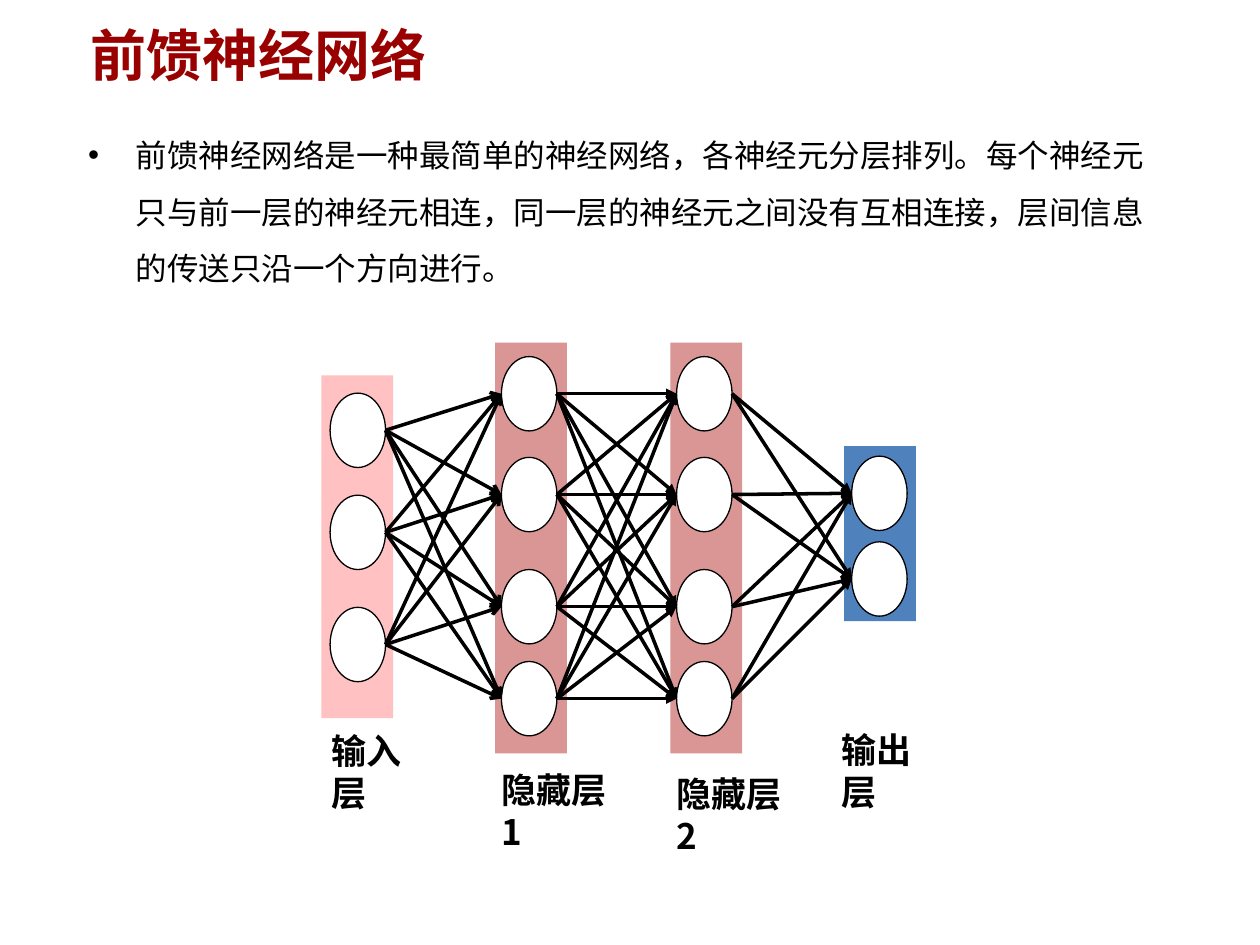
from itertools import product

from lxml import etree
from pptx import Presentation
from pptx.dml.color import RGBColor
from pptx.enum.shapes import MSO_CONNECTOR, MSO_SHAPE
from pptx.enum.text import MSO_ANCHOR
from pptx.oxml.ns import qn
from pptx.util import Inches, Pt

RECTANGLE, OVAL = MSO_SHAPE.RECTANGLE, MSO_SHAPE.OVAL
STRAIGHT = MSO_CONNECTOR.STRAIGHT
TOP, MIDDLE = MSO_ANCHOR.TOP, MSO_ANCHOR.MIDDLE

FONT = "Noto Sans CJK SC"
BLACK = RGBColor(0x00, 0x00, 0x00)
WHITE = RGBColor(0xFF, 0xFF, 0xFF)
DARK_RED = RGBColor(0x99, 0x00, 0x00)
PINK = RGBColor(0xFF, 0xC1, 0xC1)
ROSE = RGBColor(0xD9, 0x96, 0x94)
BLUE = RGBColor(0x4F, 0x81, 0xBD)

# Content
TITLE = "前馈神经网络"
BODY = ("前馈神经网络是一种最简单的神经网络，各神经元分层排列。"
        "每个神经元只与前一层的神经元相连，同一层的神经元之间没有互相连接，"
        "层间信息的传送只沿一个方向进行。")

HIDDEN_TOPS = [2.83, 3.63, 4.52, 5.25]
# band: left, top, height; label: left, top, width; head: arrowhead leaving the layer
LAYERS = [
    {"name": "输入层", "color": PINK, "band": (2.55, 2.98, 2.72), "neuron_left": 2.62,
     "neuron_tops": [3.12, 3.93, 4.82], "label": (2.53, 5.74, 0.82), "head": "arrow"},
    {"name": "隐藏层1", "color": ROSE, "band": (3.93, 2.72, 3.26), "neuron_left": 3.98,
     "neuron_tops": HIDDEN_TOPS, "label": (3.88, 6.05, 1.11), "head": "triangle"},
    {"name": "隐藏层2", "color": ROSE, "band": (5.32, 2.72, 3.26), "neuron_left": 5.37,
     "neuron_tops": HIDDEN_TOPS, "label": (5.27, 6.08, 1.1), "head": "triangle"},
    {"name": "输出层", "color": BLUE, "band": (6.7, 3.54, 1.39), "neuron_left": 6.76,
     "neuron_tops": [3.62, 4.3], "label": (6.58, 5.73, 0.79), "head": None},
]
BAND_WIDTH = 0.57
NEURON_WIDTH, NEURON_HEIGHT = 0.44, 0.59
LABEL_HEIGHT = 0.77


def add_text(page, text, left, top, width, height, size=20, color=BLACK,
             bold=False, anchor=MIDDLE, spacing=None, bullet=None, indent=0):
    box = page.shapes.add_textbox(*map(Inches, (left, top, width, height)))
    frame = box.text_frame
    frame.word_wrap = True
    frame.vertical_anchor = anchor
    para = frame.paragraphs[0]
    if bullet:
        properties = para._p.get_or_add_pPr()
        properties.set("marL", str(Inches(indent)))
        properties.set("indent", str(-Inches(indent)))
        etree.SubElement(properties, qn("a:buFont"), typeface="Arial")
        etree.SubElement(properties, qn("a:buChar"), char=bullet)
    if spacing:
        para.line_spacing = spacing
    span = para.add_run()
    span.text = text
    span.font.size = Pt(size)
    span.font.bold = bold
    span.font.color.rgb = color
    span.font.name = FONT
    etree.SubElement(span._r.get_or_add_rPr(), qn("a:ea"), typeface=FONT)


def add_block(page, kind, left, top, width, height, fill, outline=None):
    block = page.shapes.add_shape(kind, *map(Inches, (left, top, width, height)))
    block.shadow.inherit = False
    block.fill.solid()
    block.fill.fore_color.rgb = fill
    if outline is None:
        block.line.fill.background()
    else:
        block.line.color.rgb = outline
        block.line.width = Pt(0.75)


def add_arrow(page, start, end, head):
    arrow = page.shapes.add_connector(STRAIGHT, *map(Inches, (*start, *end)))
    arrow.line.color.rgb = BLACK
    arrow.line.width = Pt(2)
    etree.SubElement(arrow.line._get_or_add_ln(), qn("a:tailEnd"), type=head)
    etree.SubElement(arrow._element.spPr, qn("a:effectLst"))


def main():
    deck = Presentation()
    deck.slide_width, deck.slide_height = Inches(10), Inches(7.5)
    page = deck.slides.add_slide(deck.slide_layouts[6])

    # Title and explanation
    add_text(page, TITLE, 0.62, 0.13, 8.66, 0.6, size=32, color=DARK_RED, bold=True)
    add_text(page, BODY, 0.6, 0.88, 8.81, 1.32, size=18, anchor=TOP,
             spacing=1.5, bullet="•", indent=0.38)

    # Layer bands
    for layer in LAYERS:
        left, top, height = layer["band"]
        add_block(page, RECTANGLE, left, top, BAND_WIDTH, height, layer["color"])

    # Neurons
    for layer in LAYERS:
        for top in layer["neuron_tops"]:
            add_block(page, OVAL, layer["neuron_left"], top,
                      NEURON_WIDTH, NEURON_HEIGHT, WHITE, BLACK)

    # Every neuron feeds every neuron of the next layer
    for source, target in zip(LAYERS, LAYERS[1:]):
        for start_top, end_top in product(source["neuron_tops"], target["neuron_tops"]):
            start = (source["neuron_left"] + NEURON_WIDTH, start_top + NEURON_HEIGHT / 2)
            end = (target["neuron_left"], end_top + NEURON_HEIGHT / 2)
            add_arrow(page, start, end, source["head"])

    # Layer names
    for layer in LAYERS:
        add_text(page, layer["name"], *layer["label"], LABEL_HEIGHT, bold=True)

    deck.save("out.pptx")


if __name__ == "__main__":
    main()
